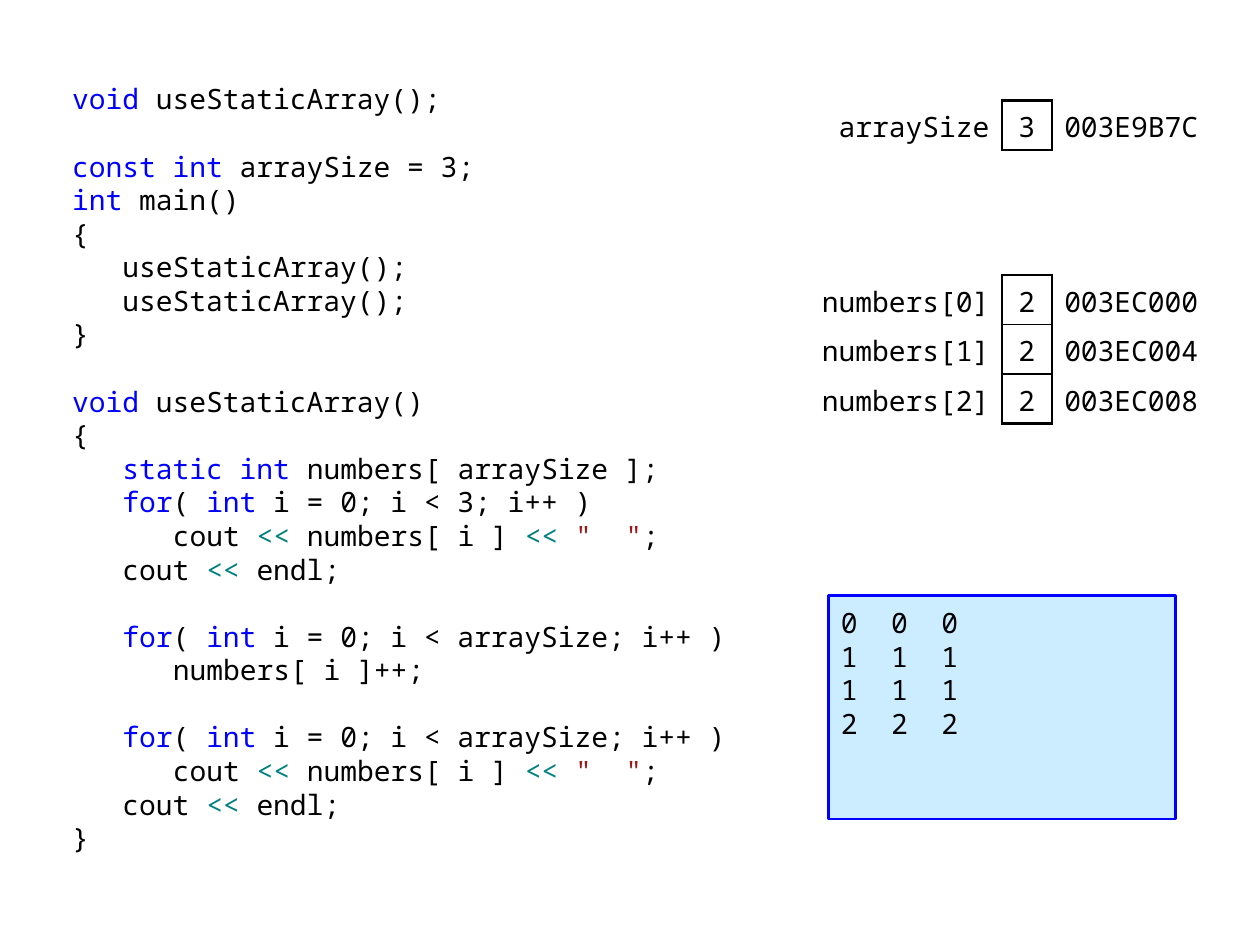
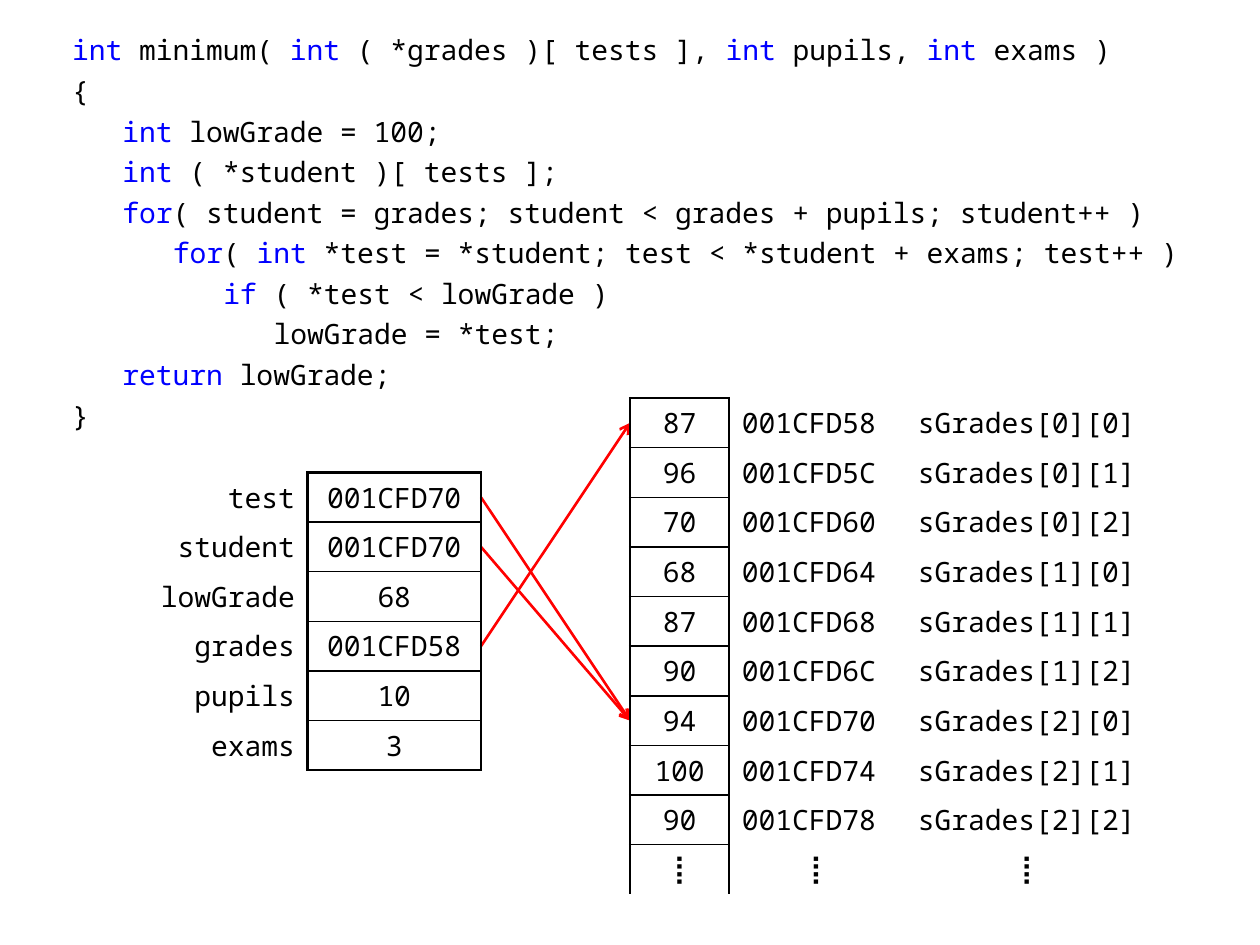
from lxml.etree import SubElement
from pptx import Presentation
from pptx.dml.color import RGBColor
from pptx.enum.shapes import MSO_CONNECTOR as CONN, MSO_SHAPE as SHAPE
from pptx.enum.text import MSO_ANCHOR as ANCHOR, MSO_AUTO_SIZE as AUTO, PP_ALIGN as AL
from pptx.oxml.ns import qn
from pptx.util import Pt

BLACK = RGBColor(0x00, 0x00, 0x00)
BLUE = RGBColor(0x00, 0x00, 0xFF)
TEAL = RGBColor(0x00, 0x80, 0x80)
MAROON = RGBColor(0xA3, 0x15, 0x15)
RED = RGBColor(0xFF, 0x00, 0x00)
SKY = RGBColor(0xCC, 0xEC, 0xFF)

FONT = "Noto Sans Mono"
SIZE = 16
CHAR = 9.6
LINE = 19.2
ROW = 28.35
ADDRESS = 99.2
RULE = 1.5
NO_STYLE = "{2D5ABB26-0587-4C30-8999-92F81FD0307C}"
DOTS = "\u2999"

STATIC_CODE = """~void ~useStaticArray();

~const int~ arraySize = 3;
~int~ main()
{
   useStaticArray();
   useStaticArray();
}

~void ~useStaticArray()
{
   ~static int~ numbers[ arraySize ];
   ~for~( ~int~ i = 0; i < 3; i++ )
      cout ~<< ~numbers[ i ] ~<< ~~"  "~;
   cout ~<< ~endl;

   ~for~( ~int~ i = 0; i < arraySize; i++ )
      numbers[ i ]++;

   ~for~( ~int~ i = 0; i < arraySize; i++ )
      cout ~<< ~numbers[ i ] ~<< ~~"  "~;
   cout ~<< ~endl;
}"""

MINIMUM_CODE = """~int~ minimum( ~int~ ( *grades )[ tests ], ~int~ pupils, ~int~ exams )
{
   ~int ~lowGrade = 100;
   ~int~ ( *student )[ tests ];
   ~for~( student = grades; student < grades + pupils; student++ )
      ~for~( ~int~ *test = *student; test < *student + exams; test++ )
         ~if~ ( *test < lowGrade )
            lowGrade = *test;
   ~return ~lowGrade;
}"""

VARIABLES = [("test", "001CFD70"), ("student", "001CFD70"), ("lowGrade", "68"),
             ("grades", "001CFD58"), ("pupils", "10"), ("exams", "3")]
GRADES = [87, 96, 70, 68, 87, 90, 94, 100, 90]


def add_run(p, text, color=BLACK, size=SIZE, bold=False):
    r = p.add_run()
    r.text = text
    r.font.name = FONT
    r.font.size = Pt(size)
    r.font.bold = bold
    r.font.color.rgb = color


def token_color(token):
    if token.startswith("<<"):
        return TEAL
    return MAROON if token.startswith('"') else BLUE


def add_code(s, code, x, y, w, h, after=0):
    title, body = s.placeholders
    title._element.getparent().remove(title._element)
    body.left, body.top, body.width, body.height = Pt(x), Pt(y), Pt(w), Pt(h)
    tf = body.text_frame
    tf.auto_size = AUTO.NONE
    tf.word_wrap = True
    tf.vertical_anchor = ANCHOR.TOP
    p, gap = tf.paragraphs[0], 0
    for line in code.split("\n"):
        if not line:
            gap = LINE
            continue
        if p.runs:
            p = tf.add_paragraph()
        text = line.lstrip()
        pPr = p._p.get_or_add_pPr()
        pPr.set("marL", str(Pt((len(line) - len(text)) * CHAR)))
        pPr.set("indent", "0")
        p.space_before, p.space_after = Pt(gap), Pt(after)
        SubElement(pPr, qn("a:buNone"))
        gap = 0
        for i, token in enumerate(text.split("~")):
            if token:
                add_run(p, token, token_color(token) if i % 2 else BLACK)


def set_border(cell, side, width):
    ln = SubElement(cell._tc.get_or_add_tcPr(), qn("a:ln" + side), w=str(Pt(width)))
    if width:
        fill = SubElement(ln, qn("a:solidFill"))
        SubElement(fill, qn("a:srgbClr"), val=str(BLACK))
    else:
        SubElement(ln, qn("a:noFill"))


def fill_cell(cell, text, align, spacing, pad):
    dots = text == DOTS
    cell.vertical_anchor = ANCHOR.MIDDLE
    cell.margin_left = cell.margin_right = Pt(5.76)if align == AL.CENTER else Pt(7.2)
    cell.margin_top = cell.margin_bottom = Pt(0 if dots else pad)
    p = cell.text_frame.paragraphs[0]
    p.alignment = AL.CENTER if dots else align
    p.line_spacing = spacing
    add_run(p, text, size=20 if dots else SIZE, bold=dots)


def add_memory(s, x, y, widths, rows, aligns, box, inner=1, spacing=1.0, pad=2.88):
    shape = s.shapes.add_table(len(rows), len(widths), Pt(x), Pt(y),
                               Pt(sum(widths)), Pt(ROW * len(rows)))
    tbl = shape.table
    tbl.first_row = tbl.horz_banding = False
    tbl._tbl.tblPr.find(qn("a:tableStyleId")).text = NO_STYLE
    for col, w in zip(tbl.columns, widths):
        col.width = Pt(w)
    last = len(rows) - 1
    end = 0 if rows[last][box] == DOTS else RULE
    for i, row in enumerate(rows):
        tbl.rows[i].height = Pt(ROW)
        for j, text in enumerate(row):
            cell = tbl.cell(i, j)
            fill_cell(cell, text, aligns[j], spacing, pad)
            boxed = j == box
            set_border(cell, "L", RULE if j in (box, box + 1) else 0)
            set_border(cell, "R", RULE if j in (box - 1, box) else 0)
            set_border(cell, "T", (inner if i else RULE) if boxed else 0)
            set_border(cell, "B", (inner if i < last else end) if boxed else 0)
            cell.fill.background()


def add_arrow(s, x1, y1, x2, y2):
    c = s.shapes.add_connector(CONN.STRAIGHT, Pt(x1), Pt(y1), Pt(x2), Pt(y2))
    c.line.color.rgb = RED
    c.line.width = Pt(RULE)
    SubElement(c.line._get_or_add_ln(), qn("a:tailEnd"), type="arrow")
    SubElement(c._element.spPr, qn("a:effectLst"))


def add_console(s, lines, x, y, w, h):
    sp = s.shapes.add_shape(SHAPE.RECTANGLE, Pt(x), Pt(y), Pt(w), Pt(h))
    sp.shadow.inherit = False
    sp.fill.solid()
    sp.fill.fore_color.rgb = SKY
    sp.line.color.rgb = BLUE
    sp.line.width = Pt(RULE)
    tf = sp.text_frame
    tf.word_wrap = True
    tf.vertical_anchor = ANCHOR.TOP
    tf.margin_top = Pt(5.76)
    for i, line in enumerate(lines):
        p = tf.add_paragraph() if i else tf.paragraphs[0]
        p.alignment = AL.LEFT
        add_run(p, line)


def static_slide(s):
    add_code(s, STATIC_CODE, 34, 43.2, 496, 453.6)
    numbers = [(f"numbers[{i}]", "2", f"003EC00{4 * i}") for i in range(3)]
    for y, rows in ((157, numbers), (57.4, [("arraySize", "3", "003E9B7C")])):
        add_memory(s, 459.2, y, (113.4, ROW, ADDRESS), rows,
                   (AL.RIGHT, AL.CENTER, AL.LEFT), 1, 0.75, 1.1, 0)
    counts = [f"{n}  {n}  {n}" for n in (0, 1, 1, 2)]
    add_console(s, counts, 473.4, 340.4, 198.4, 127.6)


def minimum_slide(s):
    add_code(s, MINIMUM_CODE, 34, 15.2, 652.4, 241, after=4)
    left, top, grades_x, grades_y = 76.5, 270, 360, 227.5
    for source, target in ((3, 0), (1, 6), (0, 6)):
        add_arrow(s, left + 2 * ADDRESS, top + (source + 0.5) * ROW,
                  grades_x, grades_y + (target + 0.5) * ROW)
    rows = [(str(g), f"001CFD{0x58 + 4 * i:X}", f"sGrades[{i // 3}][{i % 3}]")
            for i, g in enumerate(GRADES)]
    add_memory(s, grades_x, grades_y, (56.7, ADDRESS, 141.7), rows + [(DOTS,) * 3],
               (AL.CENTER, AL.LEFT, AL.CENTER), 0)
    add_memory(s, left, top, (ADDRESS, ADDRESS), VARIABLES, (AL.RIGHT, AL.CENTER), 1)


def main():
    prs = Presentation()
    prs.slide_width, prs.slide_height = Pt(720), Pt(540)
    for build in (static_slide, minimum_slide):
        build(prs.slides.add_slide(prs.slide_layouts[1]))
    prs.save("out.pptx")


main()
